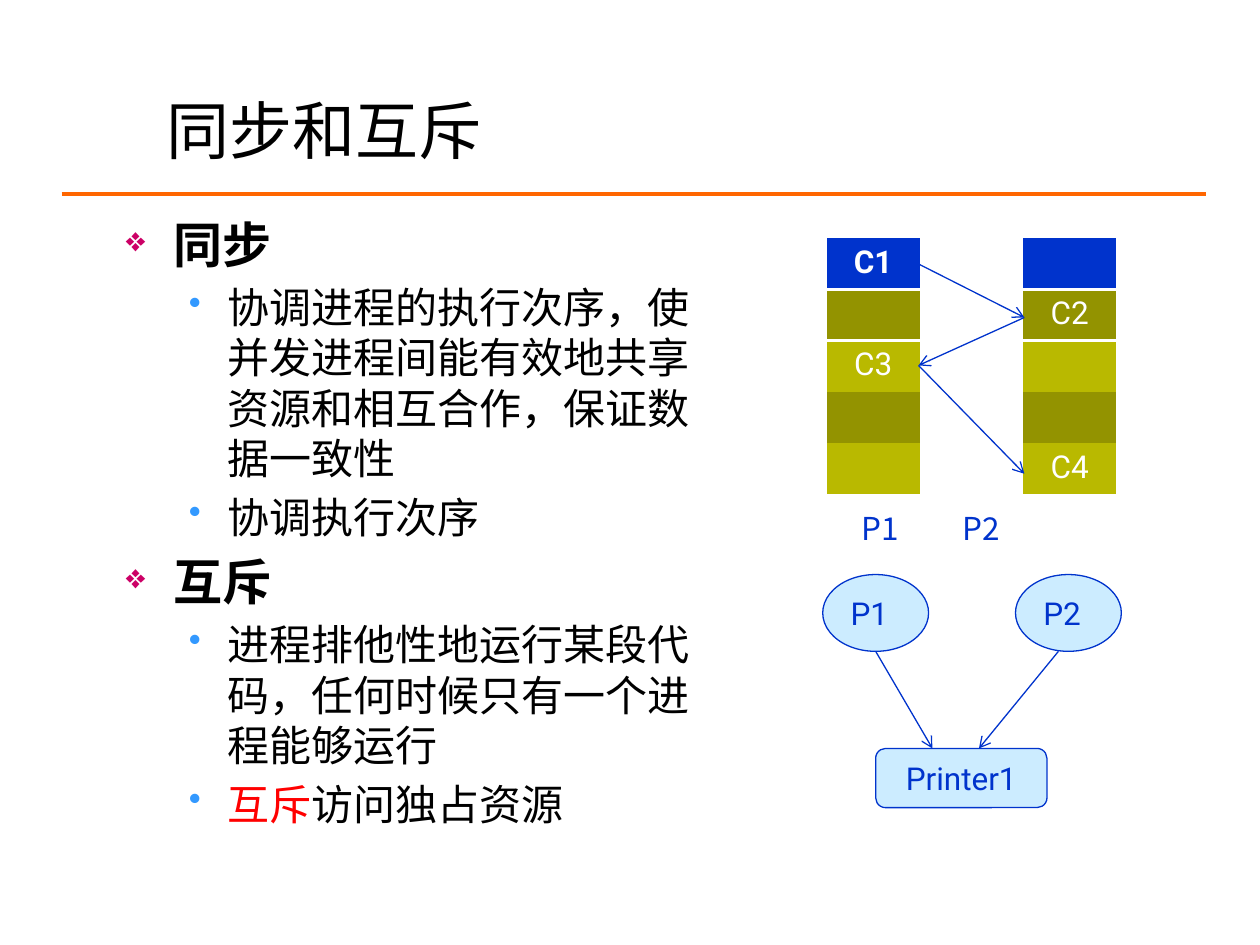
from lxml.etree import SubElement
from pptx import Presentation
from pptx.dml.color import RGBColor
from pptx.enum.shapes import MSO_CONNECTOR, MSO_SHAPE
from pptx.enum.text import MSO_ANCHOR, PP_ALIGN
from pptx.oxml import parse_xml
from pptx.oxml.ns import nsdecls, qn
from pptx.util import Inches, Pt

BLACK = RGBColor(0x00, 0x00, 0x00)
WHITE = RGBColor(0xFF, 0xFF, 0xFF)
RED = RGBColor(0xFF, 0x00, 0x00)
ORANGE = RGBColor(0xFF, 0x66, 0x00)
MAGENTA = RGBColor(0xCC, 0x00, 0x66)
SKY = RGBColor(0x33, 0x99, 0xFF)
BLUE = RGBColor(0x00, 0x33, 0xCC)
PALE_BLUE = RGBColor(0xCC, 0xEC, 0xFF)
DARK_OLIVE = RGBColor(0x93, 0x93, 0x00)
OLIVE = RGBColor(0xB9, 0xB9, 0x00)

CJK = "Noto Sans CJK SC"
LATIN = "Roboto"
NO_TABLE_STYLE = "{2D5ABB26-0587-4C30-8999-92F81FD0307C}"


def set_font(paragraph, name, size, color, bold=False):
    """Format a whole paragraph, with the CJK font for East Asian text."""
    font = paragraph.font
    font.name, font.size, font.bold = name, Pt(size), bold
    font.color.rgb = color
    defaults = paragraph._p.pPr.find(qn("a:defRPr"))
    SubElement(defaults, qn("a:ea"), typeface=CJK)


def add_line(start, end, color, width, arrow=True):
    line = slide.shapes.add_connector(
        MSO_CONNECTOR.STRAIGHT, *(Inches(v) for v in (*start, *end)))
    line.line.color.rgb = color
    line.line.width = Pt(width)
    properties = line._element.spPr
    if arrow:
        SubElement(properties.find(qn("a:ln")), qn("a:tailEnd"), type="arrow")
    SubElement(properties, qn("a:effectLst"))


prs = Presentation()
prs.slide_width, prs.slide_height = Inches(10), Inches(7.5)
slide = prs.slides.add_slide(prs.slide_layouts[5])

# Title and rule
add_line((0.49, 1.54), (9.57, 1.54), ORANGE, 2.25, arrow=False)
title = slide.shapes.title
title.left, title.top = Inches(1.22), Inches(0.69)
title.width, title.height = Inches(8.83), Inches(0.67)
title.text_frame.text = "同步和互斥"
title.text_frame.vertical_anchor = MSO_ANCHOR.MIDDLE
heading = title.text_frame.paragraphs[0]
heading.alignment = PP_ALIGN.LEFT
set_font(heading, "Arial", 36, BLACK)

# Outline: level and coloured text parts
outline = [
    (0, [("同步", BLACK)]),
    (1, [("协调进程的执行次序，使并发进程间能有效地共享资源和相互合作，保证数据一致性", BLACK)]),
    (1, [("协调执行次序", BLACK)]),
    (0, [("互斥", BLACK)]),
    (1, [("进程排他性地运行某段代码，任何时候只有一个进程能够运行", BLACK)]),
    (1, [("互斥", RED), ("访问独占资源", BLACK)]),
]
# Per level: margin, indent, bullet, bullet colour, bullet percent, text size, bold
levels = [
    (0.38, -0.38, "❖", MAGENTA, 70, 28, True),
    (0.81, -0.31, "•", SKY, 85, 24, False),
]
body = slide.shapes.add_textbox(
    Inches(0.9), Inches(1.65), Inches(4.83), Inches(5.15)).text_frame
body.word_wrap = True
for i, (level, parts) in enumerate(outline):
    margin, indent, bullet, bullet_color, percent, size, bold = levels[level]
    item = body.paragraphs[0] if i == 0 else body.add_paragraph()
    item.level = level
    item.line_spacing = Pt(size * 1.2)
    item.space_before = Pt(size * 0.2 if i else 0)
    props = item._p.get_or_add_pPr()
    props.set("marL", str(Inches(margin)))
    props.set("indent", str(Inches(indent)))
    SubElement(SubElement(props, qn("a:buClr")), qn("a:srgbClr"), val=str(bullet_color))
    SubElement(props, qn("a:buSzPct"), val=str(percent * 1000))
    SubElement(props, qn("a:buChar"), char=bullet)
    set_font(item, CJK, size, BLACK, bold)
    for text, color in parts:
        run = item.add_run()
        run.text = text
        if color != BLACK:
            run.font.color.rgb = color

# Two processes sharing a printer
nodes = [
    (MSO_SHAPE.OVAL, "P1", 6.53, 4.56, 0.84, 0.61, PP_ALIGN.LEFT),
    (MSO_SHAPE.OVAL, "P2", 8.06, 4.56, 0.84, 0.61, PP_ALIGN.LEFT),
    (MSO_SHAPE.ROUNDED_RECTANGLE, "Printer1", 6.95, 5.94, 1.36, 0.47, PP_ALIGN.CENTER),
]
for kind, label, left, top, width, height, alignment in nodes:
    node = slide.shapes.add_shape(
        kind, Inches(left), Inches(top), Inches(width), Inches(height))
    node.shadow.inherit = False
    node.fill.solid()
    node.fill.fore_color.rgb = PALE_BLUE
    node.line.color.rgb = BLUE
    node.line.width = Pt(0.75)
    node.text_frame.text = label
    caption = node.text_frame.paragraphs[0]
    caption.alignment = alignment
    set_font(caption, LATIN, 18, BLUE)
add_line((6.95, 5.17), (7.4, 5.94), BLUE, 0.75)
add_line((8.4, 5.17), (7.77, 5.94), BLUE, 0.75)

# Code segments of each process
segment_fills = [BLUE, DARK_OLIVE, OLIVE, DARK_OLIVE, OLIVE]
processes = [
    (6.56, ["C1", "", "C3", "", ""]),
    (8.12, ["", "C2", "", "", "C4"]),
]
for left, segments in processes:
    table = slide.shapes.add_table(
        len(segments), 1, Inches(left), Inches(1.89), Inches(0.74), Inches(2.03)).table
    table.first_row = table.horz_banding = False
    table._tbl.tblPr.find(qn("a:tableStyleId")).text = NO_TABLE_STYLE
    for row, (segment, fill) in enumerate(zip(segments, segment_fills)):
        cell = table.cell(row, 0)
        cell.text = segment
        cell.fill.solid()
        cell.fill.fore_color.rgb = fill
        label = cell.text_frame.paragraphs[0]
        label.alignment = PP_ALIGN.CENTER
        set_font(label, LATIN, 18, WHITE, bold=segment == "C1")
        if row < 2:
            edge = "lnB" if row == 0 else "lnT"
            cell._tc.get_or_add_tcPr().insert(0, parse_xml(
                f'<a:{edge} {nsdecls("a")} w="{Pt(2)}"><a:solidFill>'
                f'<a:srgbClr val="{WHITE}"/></a:solidFill></a:{edge}>'))

# Execution order C1 to C4
steps = [(7.24, 2.07), (8.13, 2.52), (7.29, 2.9), (8.13, 3.76)]
for start, end in zip(steps, steps[1:]):
    add_line(start, end, BLUE, 0.75)

process_names = slide.shapes.add_textbox(
    Inches(6.74), Inches(3.99), Inches(2.05), Inches(0.71)).text_frame
process_names.word_wrap = True
names = process_names.paragraphs[0]
names.text = "P1\tP2"
tabs = SubElement(names._p.get_or_add_pPr(), qn("a:tabLst"))
SubElement(tabs, qn("a:tab"), pos=str(Inches(0.8)), algn="l")
set_font(names, CJK, 18, BLUE)

prs.save("out.pptx")
